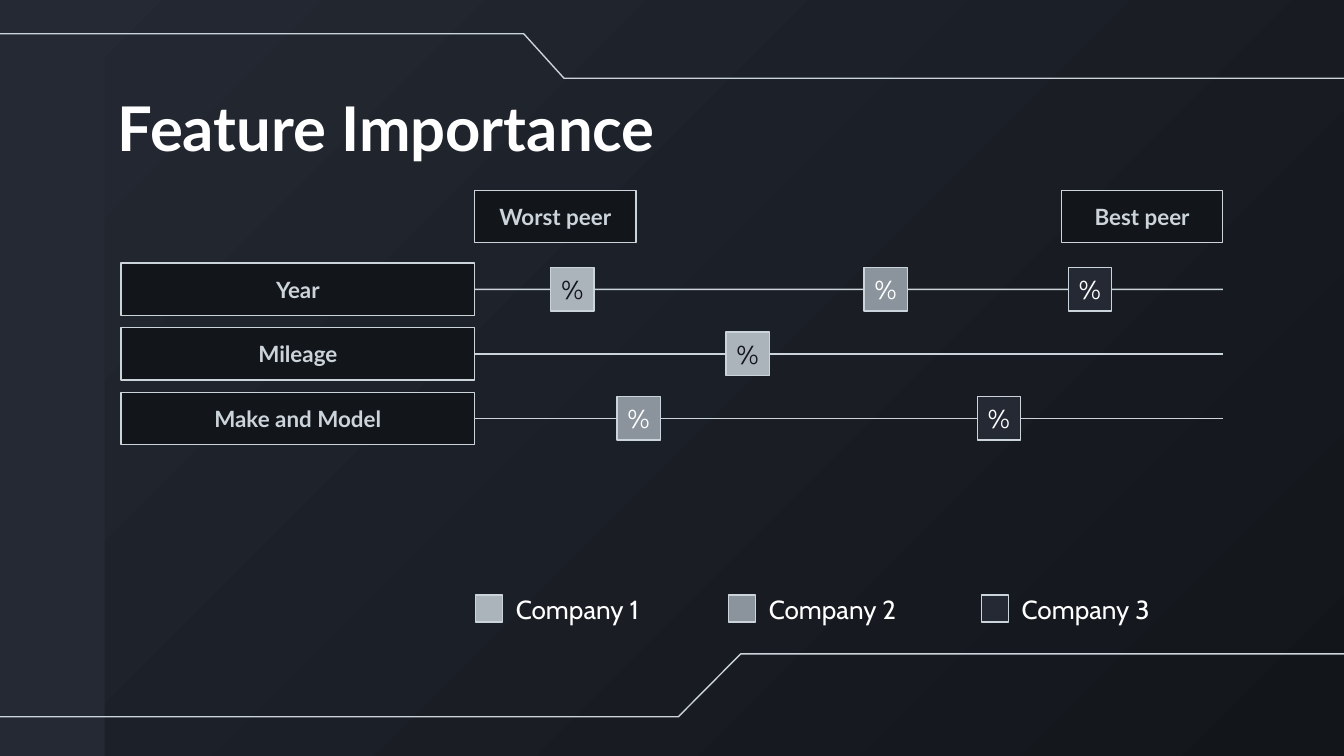
"""Build a slide that ranks three companies between worst and best peer per feature."""
from pptx import Presentation
from pptx.dml.color import RGBColor
from pptx.enum import shapes, text
from pptx.oxml.ns import qn
from pptx.util import Cm, Pt

INK = RGBColor(0x12, 0x15, 0x1A)
NAVY = RGBColor(0x24, 0x29, 0x33)
PALE = RGBColor(0xCC, 0xD4, 0xDB)
SILVER = RGBColor(0xAB, 0xB3, 0xBB)
STEEL = RGBColor(0x8B, 0x93, 0x9C)
WHITE = RGBColor(0xFF, 0xFF, 0xFF)

COMPANIES = [("Company 1", SILVER, INK), ("Company 2", STEEL, WHITE), ("Company 3", NAVY, WHITE)]
FEATURES = [
    ("Year", [(0, 10.41), (1, 16.33), (2, 20.19)]),
    ("Mileage", [(0, 13.72)]),
    ("Make and Model", [(2, 18.47), (1, 11.66)]),
]

SLIDE_W, SLIDE_H = 25.4, 14.29
LABEL_X, LABEL_W, BOX_H = 2.29, 6.68, 0.99
TRACK_X, TRACK_END = LABEL_X + LABEL_W, 23.11
ROW_Y, ROW_STEP = 5.47, 1.22
HEAD_Y, HEAD_W = 3.6, 3.05
MARKER = 0.82
KEY_X, KEY_Y, KEY_STEP, KEY = 8.99, 11.25, 4.78, 0.51


def write(sp, words, size, font, color, bold=False, align=text.PP_ALIGN.LEFT,
          anchor=text.MSO_ANCHOR.MIDDLE, side=0.25):
    tf = sp.text_frame
    tf.word_wrap = True
    tf.vertical_anchor = anchor
    tf.margin_left = tf.margin_right = Cm(side)
    tf.margin_top = tf.margin_bottom = Cm(0.25)
    p = tf.paragraphs[0]
    p.alignment = align
    r = p.add_run()
    r.text = words
    r.font.size = Pt(size)
    r.font.name = font
    r.font.bold = bold
    r.font.color.rgb = color


def add_rect(s, x, y, w, h, fill, outlined=True):
    sp = s.shapes.add_shape(shapes.MSO_SHAPE.RECTANGLE, Cm(x), Cm(y), Cm(w), Cm(h))
    sp.shadow.inherit = False
    sp.fill.solid()
    sp.fill.fore_color.rgb = fill
    if outlined:
        sp.line.color.rgb = PALE
        sp.line.width = Pt(0.75)
    else:
        sp.line.fill.background()
    return sp


def add_label(s, words, x, y, w):
    sp = add_rect(s, x, y, w, BOX_H, INK)
    write(sp, words, 12, "Lato", PALE, bold=True, align=text.PP_ALIGN.CENTER)
    return sp


def add_text(s, words, x, y, w, h, **style):
    sp = s.shapes.add_textbox(Cm(x), Cm(y), Cm(w), Cm(h))
    write(sp, words, **style)


def add_track(s, label, y):
    line = s.shapes.add_connector(shapes.MSO_CONNECTOR.STRAIGHT,
                                  Cm(TRACK_X), Cm(y), Cm(TRACK_END), Cm(y))
    line.begin_connect(label, 3)
    line.line.color.rgb = PALE
    line.line.width = Pt(0.75)
    sp_pr = line._element.spPr
    sp_pr.append(sp_pr.makeelement(qn("a:effectLst"), {}))


def add_marker(s, company, x, y):
    _, fill, color = COMPANIES[company]
    sp = add_rect(s, x, y - MARKER / 2, MARKER, MARKER, fill)
    write(sp, "%", 14, "Cabin", color, align=text.PP_ALIGN.CENTER, side=0)


def add_frame_line(s, points):
    start, *rest = [(Cm(x), Cm(y)) for x, y in points]
    builder = s.shapes.build_freeform(*start)
    builder.add_line_segments(rest, close=False)
    sp = builder.convert_to_shape()
    sp.shadow.inherit = False
    sp.fill.background()
    sp.line.color.rgb = PALE
    sp.line.width = Pt(0.75)


def add_backdrop(s):
    fill = s.background.fill
    fill.gradient()
    fill.gradient_angle = 135
    for stop, color, position in zip(fill.gradient_stops, (INK, NAVY), (0, 1)):
        stop.color.rgb = color
        stop.position = position
    add_rect(s, 0, 0, 1.98, SLIDE_H, NAVY, outlined=False)
    add_frame_line(s, [(SLIDE_W, 12.36), (14, 12.36), (12.82, 13.55), (0, 13.55)])
    add_frame_line(s, [(0, 0.64), (9.9, 0.64), (10.66, 1.48), (SLIDE_W, 1.48)])


def add_features(s):
    centers = [ROW_Y + i * ROW_STEP for i in range(len(FEATURES))]
    for (name, marks), y in zip(FEATURES, centers):
        label = add_label(s, name, LABEL_X, y - BOX_H / 2, LABEL_W)
        add_track(s, label, y)
        for company, x in marks:
            add_marker(s, company, x, y)
    add_label(s, "Worst peer", TRACK_X, HEAD_Y, HEAD_W)
    add_label(s, "Best peer", TRACK_END - HEAD_W, HEAD_Y, HEAD_W)


def add_legend(s):
    for i, (name, fill, _) in enumerate(COMPANIES):
        x = KEY_X + i * KEY_STEP
        add_rect(s, x, KEY_Y, KEY, KEY, fill)
        add_text(s, name, x + KEY, KEY_Y, 3.38, KEY, size=14, font="Cabin", color=WHITE)


def main():
    prs = Presentation()
    prs.slide_width, prs.slide_height = Cm(SLIDE_W), Cm(SLIDE_H)
    s = prs.slides.add_slide(prs.slide_layouts[6])
    add_backdrop(s)
    add_text(s, "Feature Importance", 1.98, 1.45, 21.44, 1.6, size=33, font="Lato",
             color=WHITE, bold=True, anchor=text.MSO_ANCHOR.TOP)
    add_features(s)
    add_legend(s)
    prs.save("out.pptx")


if __name__ == "__main__":
    main()
